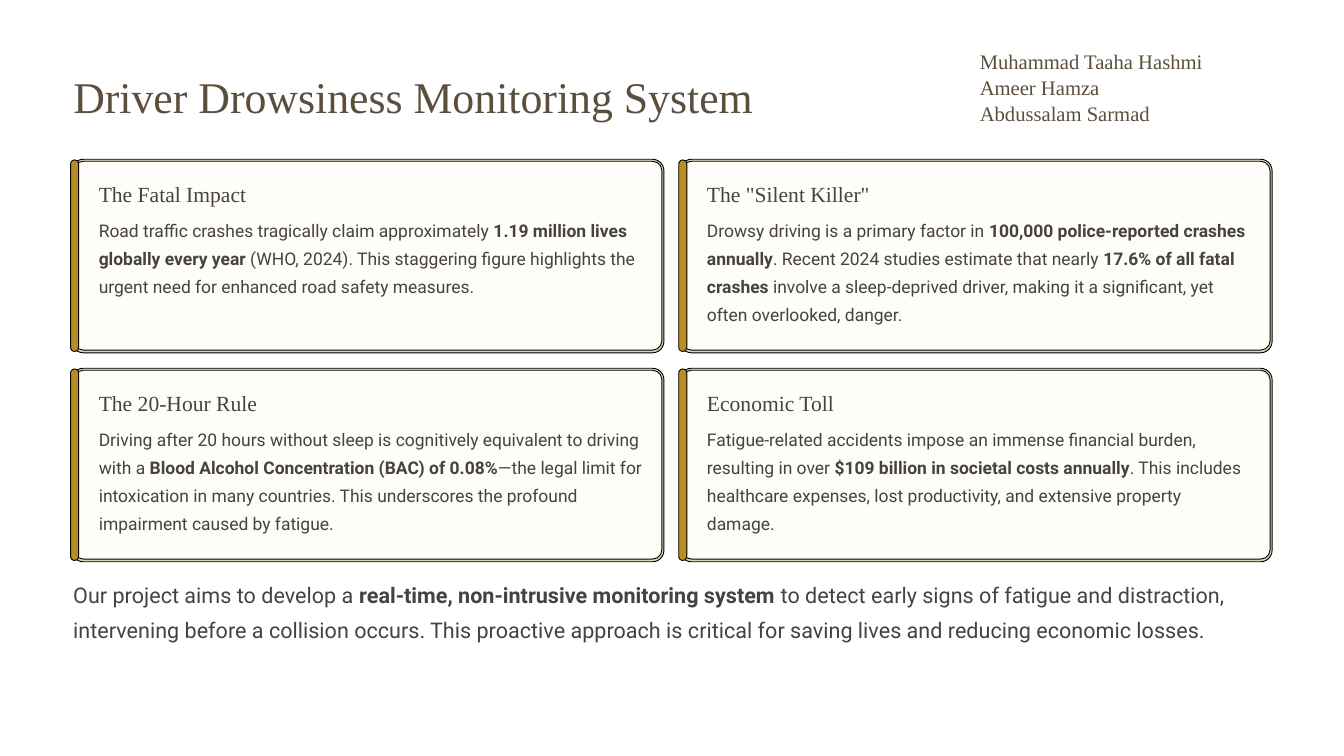
"""Build the Driver Drowsiness Monitoring System slide with four fact cards."""
from pptx import Presentation
from pptx.dml.color import RGBColor
from pptx.enum.shapes import MSO_SHAPE
from pptx.enum.text import MSO_ANCHOR, MSO_AUTO_SIZE, PP_ALIGN
from pptx.util import Pt

ROUNDED = MSO_SHAPE.ROUNDED_RECTANGLE
TOP = MSO_ANCHOR.TOP
NO_FIT = MSO_AUTO_SIZE.NONE
LEFT = PP_ALIGN.LEFT
PX = 9144
SERIF, SANS = "Times New Roman", "Roboto"
BROWN, INK = "5C4E3D", "454240"
BORDER, CREAM, GOLD, BLACK = "DDD3BA", "FFFDFA", "B88E23", "000000"


def color(value):
    return RGBColor.from_string(value)


def write(holder, box, lines, font, size, spacing, ink):
    holder.left, holder.top, holder.width, holder.height = [n * PX for n in box]
    frame = holder.text_frame
    frame.word_wrap = True
    frame.auto_size = NO_FIT
    frame.vertical_anchor = TOP
    frame.margin_left = frame.margin_right = frame.margin_top = frame.margin_bottom = 0
    for number, line in enumerate(lines):
        paragraph = frame.add_paragraph() if number else frame.paragraphs[0]
        paragraph.alignment = LEFT
        paragraph.line_spacing = Pt(spacing)
        for part, words in enumerate(line.split("**")):
            run = paragraph.add_run()
            run.text = words
            run.font.name = font
            run.font.size = Pt(size)
            run.font.bold = part % 2 == 1
            run.font.color.rgb = color(ink)


prs = Presentation()
prs.slide_width, prs.slide_height = 2000 * PX, 1125 * PX
slide = prs.slides.add_slide(prs.slide_layouts[5])
shapes = slide.shapes

write(shapes.title, (109, 101, 1289, 84), ["Driver Drowsiness Monitoring System"],
      SERIF, 46.9, 58.7, BROWN)

facts = [
    ("The Fatal Impact",
     "Road traffic crashes tragically claim approximately **1.19 million lives globally every year** "
     "(WHO, 2024). This staggering figure highlights the urgent need for enhanced road safety measures."),
    ("The \"Silent Killer\"",
     "Drowsy driving is a primary factor in **100,000 police-reported crashes annually**. "
     "Recent 2024 studies estimate that nearly **17.6% of all fatal crashes** involve a "
     "sleep-deprived driver, making it a significant, yet often overlooked, danger."),
    ("The 20-Hour Rule",
     "Driving after 20 hours without sleep is cognitively equivalent to driving with a "
     "**Blood Alcohol Concentration (BAC) of 0.08%**—the legal limit for intoxication in many "
     "countries. This underscores the profound impairment caused by fatigue."),
    ("Economic Toll",
     "Fatigue-related accidents impose an immense financial burden, resulting in over "
     "**$109 billion in societal costs annually**. This includes healthcare expenses, "
     "lost productivity, and extensive property damage."),
]
card_layers = [
    (0, 0, 881, 288, 17, BORDER),
    (3, 3, 875, 281, 14, CREAM),
    (-2, 1, 12, 285, 6, GOLD),
]

for index, (heading, detail) in enumerate(facts):
    row, column = divmod(index, 2)
    x, y = 107 + column * 905, 237 + row * 311
    for dx, dy, width, height, radius, fill in card_layers:
        layer = shapes.add_shape(ROUNDED, (x + dx) * PX, (y + dy) * PX, width * PX, height * PX)
        layer.adjustments[0] = radius / min(width, height)
        layer.shadow.inherit = False
        layer.fill.solid()
        layer.fill.fore_color.rgb = color(fill)
        layer.line.color.rgb = color(BLACK)
        layer.line.width = Pt(1)
    write(shapes.add_textbox(0, 0, 0, 0), (x + 40, y + 30, 329, 42), [heading],
          SERIF, 23.1, 29.4, INK)
    write(shapes.add_textbox(0, 0, 0, 0), (x + 40, y + 80, 810, 177), [detail],
          SANS, 18.7, 30, INK)

aim = ("Our project aims to develop a **real-time, non-intrusive monitoring system** to detect early "
       "signs of fatigue and distraction, intervening before a collision occurs. This proactive "
       "approach is critical for saving lives and reducing economic losses.")
write(shapes.add_textbox(0, 0, 0, 0), (109, 853, 1783, 169), [aim], SANS, 23.1, 37.5, INK)

authors = ["Muhammad Taaha Hashmi", "Ameer Hamza", "Abdussalam Sarmad"]
write(shapes.add_textbox(0, 0, 0, 0), (1458, 71, 435, 115), authors, SERIF, 22.1, 27.8, BROWN)

prs.save("out.pptx")
